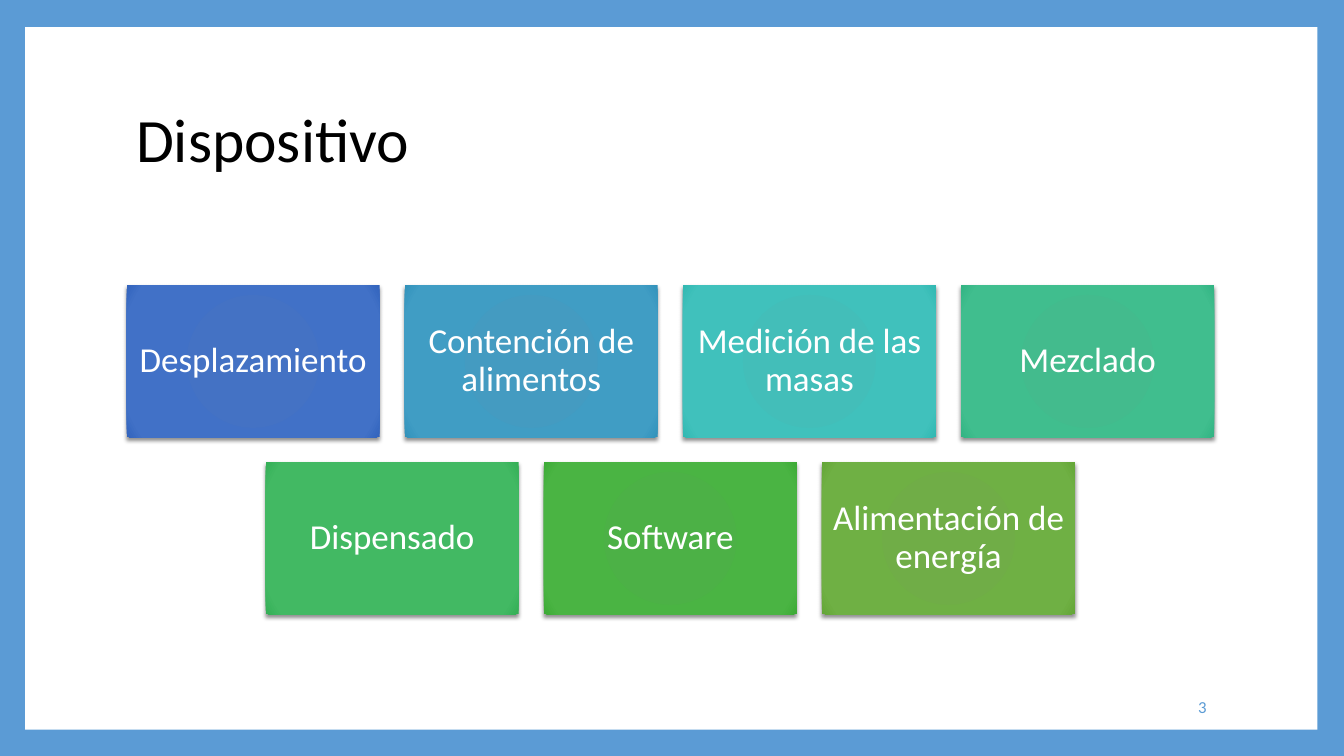
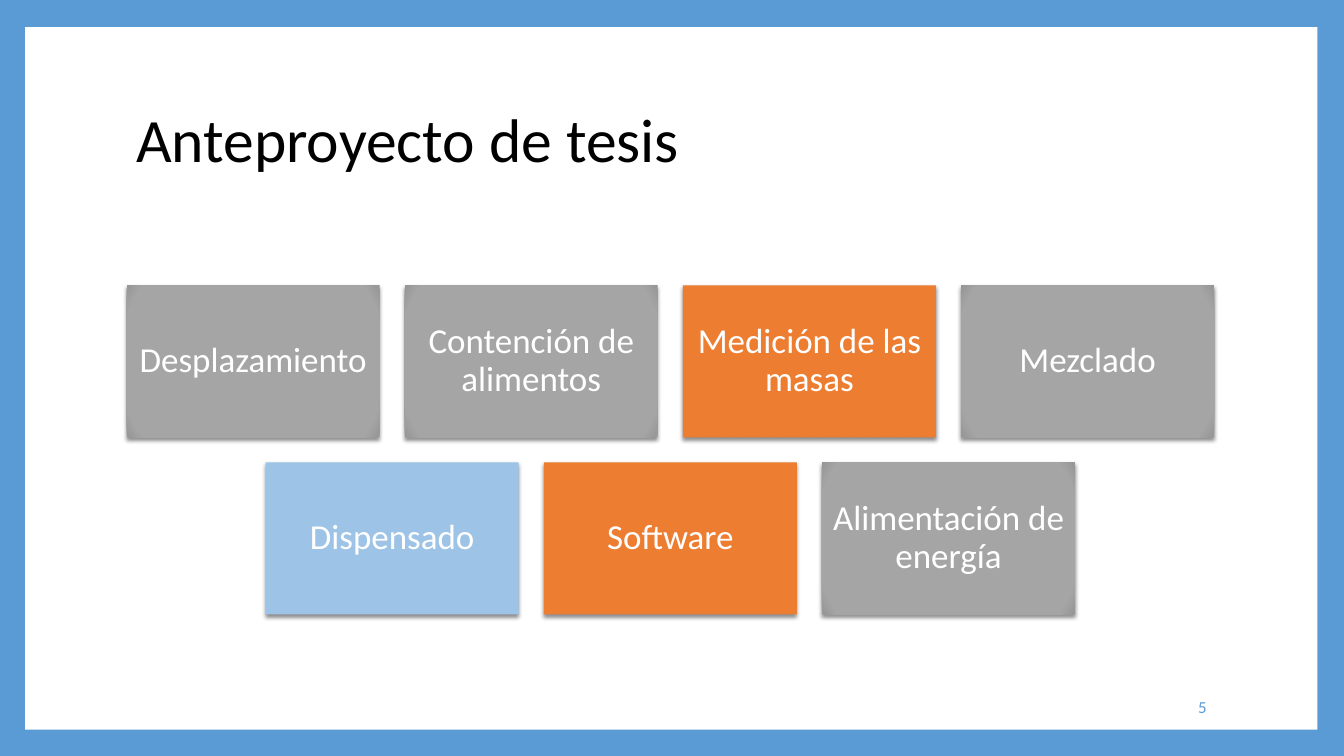
import pptx
import pptx.dml.color
import pptx.enum.shapes
import pptx.enum.text
import pptx.oxml
import pptx.oxml.ns
import pptx.util

Pt = pptx.util.Pt
ALIGN = pptx.enum.text.PP_ALIGN
MIDDLE = pptx.enum.text.MSO_ANCHOR.MIDDLE
RECT = pptx.enum.shapes.MSO_SHAPE.RECTANGLE
FONT = "Calibri"
BLUE, WHITE, BLACK = "5B9BD5", "FFFFFF", "000000"
ORANGE, PALE = "ED7D31", "9DC3E6"
GRAY = ("A5A5A5", "A5A5A5", "969696")

ROWS = [
    ["Desplazamiento", "Contención de alimentos", "Medición de las masas", "Mezclado"],
    ["Dispensado", "Software", "Alimentación de energía"],
]
SLIDES = [
    {"title": "Dispositivo", "number": "3", "fills": [
        ("4472C4", "4171C7", "3264BD"), ("449BC1", "409DC4", "3292BB"),
        ("43BEB9", "40C1BC", "32B8B2"), ("43BB8D", "40BE8E", "32B483"),
        ("45B664", "42B963", "34AF56"), ("4CB146", "4AB443", "3DAB36"),
        ("70AD47", "6FB044", "64A637")]},
    {"title": "Anteproyecto de tesis", "number": "5",
     "fills": [GRAY, GRAY, ORANGE, GRAY, PALE, ORANGE, GRAY]},
]

LEFT, WIDTH = 90, 777.6
BOX_W, BOX_H, GAP = 180.7, 108.7, 18
TOP, STEP = 203.8, 126.4


def color(code):
    return pptx.dml.color.RGBColor.from_string(code)


def paint(fill, code):
    fill.solid()
    fill.fore_color.rgb = color(code)


def place(shape, *box):
    shape.left, shape.top, shape.width, shape.height = map(Pt, box)


def write(shape, text, size, code, align, space=None):
    frame = shape.text_frame
    frame.word_wrap = True
    frame.vertical_anchor = MIDDLE
    frame.text = text
    par = frame.paragraphs[0]
    par.alignment = align
    par.line_spacing = space
    par.font.name, par.font.size = FONT, Pt(size)
    par.font.color.rgb = color(code)


def add_box(slide, fill, *box):
    shape = slide.shapes.add_shape(RECT, *map(Pt, box))
    shape.shadow.inherit = False
    shape.line.fill.background()
    paint(shape.fill, fill)
    return shape


def make(xml):
    return pptx.oxml.parse_xml(xml.replace(" ", " " + pptx.oxml.ns.nsdecls("a") + " ", 1))


def shade(shape, stops):
    marks = "".join(
        f'<a:gs pos="{pos}"><a:srgbClr val="{code}"/></a:gs>'
        for pos, code in zip((0, 90000, 100000), stops))
    grad = make(
        f'<a:gradFill rotWithShape="1"><a:gsLst>{marks}</a:gsLst><a:path path="circle">'
        '<a:fillToRect l="100000" t="100000" r="100000" b="100000"/></a:path></a:gradFill>')
    props = shape.element.spPr
    props.replace(props.find(pptx.oxml.ns.qn("a:solidFill")), grad)


def cast(shape):
    props = shape.element.spPr
    props.find(pptx.oxml.ns.qn("a:effectLst")).append(make(
        f'<a:outerShdw blurRad="{Pt(3)}" dist="{Pt(2)}" dir="5400000" algn="ctr" '
        f'rotWithShape="0"><a:srgbClr val="{BLACK}"><a:alpha val="45000"/>'
        '</a:srgbClr></a:outerShdw>'))


def add_tile(slide, text, fill, left, top):
    solid = isinstance(fill, str)
    tile = add_box(slide, fill if solid else fill[0], left, top, BOX_W, BOX_H)
    if not solid:
        shade(tile, fill)
    cast(tile)
    write(tile, text, 25, WHITE, ALIGN.CENTER, 0.9)


def add_grid(slide, fills):
    tints = iter(fills)
    for row, names in enumerate(ROWS):
        span = len(names) * (BOX_W + GAP) - GAP
        start = LEFT + (WIDTH - span) / 2
        for col, name in enumerate(names):
            add_tile(slide, name, next(tints),
                     start + col * (BOX_W + GAP), TOP + row * STEP)


def add_page(deck, layout, data):
    slide = deck.slides.add_slide(layout)
    title = slide.shapes.title
    place(title, LEFT, 48.2, WIDTH, 106.6)
    write(title, data["title"], 44, BLACK, ALIGN.LEFT, 0.9)
    add_grid(slide, data["fills"])
    number = slide.shapes.add_textbox(*map(Pt, (734.4, 490.3, 134.6, 28.8)))
    write(number, data["number"], 12, BLUE, ALIGN.RIGHT)
    return slide


def main():
    deck = pptx.Presentation()
    deck.slide_width, deck.slide_height = Pt(960), Pt(540)
    layout = deck.slide_layouts[5]
    paint(layout.background.fill, BLUE)
    pages = [add_page(deck, layout, data) for data in SLIDES]
    panel = add_box(pages[0], WHITE, 18, 19.4, 923, 501.9)
    layout.shapes.element.insert(2, panel.element)
    deck.save("out.pptx")


if __name__ == "__main__":
    main()
